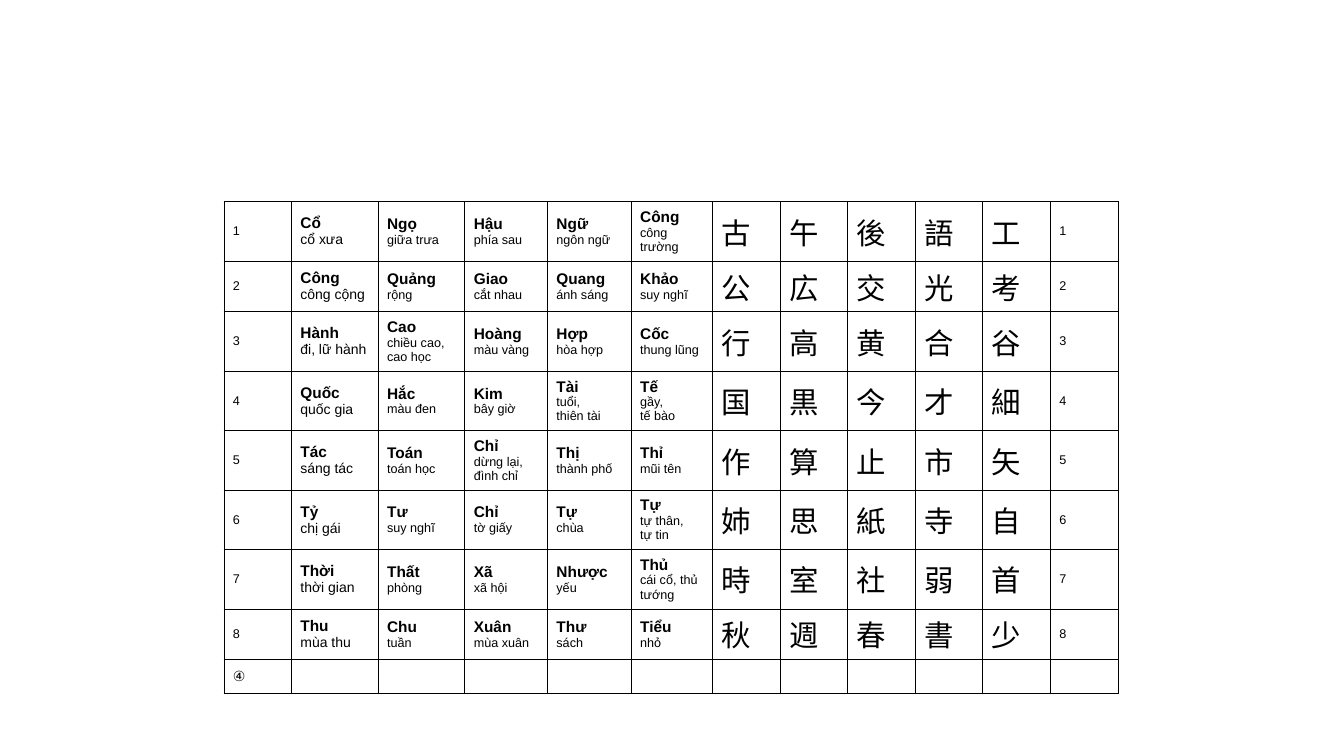
from dataclasses import dataclass

from lxml.etree import SubElement
from pptx import Presentation
from pptx.dml.color import RGBColor
from pptx.enum.text import MSO_ANCHOR
from pptx.oxml.ns import qn
from pptx.util import Inches, Pt


@dataclass(frozen=True)
class Theme:
    ink: str = "000000"
    rule: float = 0.5
    font: str = "Arial"
    glyph: str = "Roboto"
    head: int = 11
    first: int = 10
    small: int = 9
    kanji: int = 21


@dataclass(frozen=True)
class Lesson:
    """Five readings, each a name and its meaning split by '|', and their kanji."""
    words: tuple[str, ...]
    kanji: str
    height: float = 0.59


THEME = Theme()
LOW, LAST = 0.44, 0.34
WIDTHS = [0.67, 0.86, 0.86, 0.82, 0.83, 0.81] + [0.67] * 6
LESSONS = [
    Lesson(("Cổ|cổ xưa", "Ngọ|giữa trưa", "Hậu|phía sau",
            "Ngữ|ngôn ngữ", "Công|công\ntrường"), "古午後語工"),
    Lesson(("Công|công cộng", "Quảng|rộng", "Giao|cắt nhau",
            "Quang|ánh sáng", "Khảo|suy nghĩ"), "公広交光考", LOW),
    Lesson(("Hành|đi, lữ hành", "Cao|chiều cao,\ncao học", "Hoàng|màu vàng",
            "Hợp|hòa hợp", "Cốc|thung lũng"), "行高黄合谷"),
    Lesson(("Quốc|quốc gia", "Hắc|màu đen", "Kim|bây giờ",
            "Tài|tuổi,\nthiên tài", "Tế|gầy,\ntế bào"), "国黒今才細"),
    Lesson(("Tác|sáng tác", "Toán|toán học", "Chỉ|dừng lại,\nđình chỉ",
            "Thị|thành phố", "Thỉ|mũi tên"), "作算止市矢"),
    Lesson(("Tỷ|chị gái", "Tư|suy nghĩ", "Chỉ|tờ giấy",
            "Tự|chùa", "Tự|tự thân,\ntự tin"), "姉思紙寺自"),
    Lesson(("Thời|thời gian", "Thất|phòng", "Xã|xã hội",
            "Nhược|yếu", "Thủ|cái cổ, thủ\ntướng"), "時室社弱首"),
    Lesson(("Thu|mùa thu", "Chu|tuần", "Xuân|mùa xuân",
            "Thư|sách", "Tiểu|nhỏ"), "秋週春書少", LOW),
]


def frame(cell) -> None:
    """Set the margins, clear fill and thin border of a cell."""
    cell.margin_left = cell.margin_right = Inches(0.09)
    cell.margin_top = cell.margin_bottom = Inches(0.04)
    cell.vertical_anchor = MSO_ANCHOR.MIDDLE
    props = cell._tc.get_or_add_tcPr()
    for side in ("a:lnL", "a:lnR", "a:lnT", "a:lnB"):
        line = SubElement(props, qn(side), w=str(Pt(THEME.rule)))
        fill = SubElement(line, qn("a:solidFill"))
        SubElement(fill, qn("a:srgbClr"), val=THEME.ink)
    cell.fill.background()


def write(cell, text: str, size: int, font: str = THEME.font) -> None:
    para = cell.text_frame.paragraphs[0]
    para.text = text
    for run in para.runs:
        run.font.name = font
        run.font.size = Pt(size)
        run.font.color.rgb = RGBColor.from_string(THEME.ink)


def define(cell, word: str, size: int) -> None:
    """Write a bold reading above its meaning."""
    write(cell, word.replace("|", "\n"), size)
    para = cell.text_frame.paragraphs[0]
    head = para.runs[0].font
    head.bold = True
    head.size = Pt(THEME.head)
    for i, gap in enumerate(para._p.findall(qn("a:br"))):
        points = size if i else THEME.head
        SubElement(gap, qn("a:rPr"), sz=str(points * 100))


def shrink(cell) -> None:
    """Keep an empty cell from stretching its row."""
    para = cell.text_frame.paragraphs[0]._p
    SubElement(para, qn("a:endParaRPr"), sz=str(THEME.first * 100))


def main() -> None:
    deck = Presentation()
    deck.slide_width, deck.slide_height = Inches(13.33), Inches(7.5)
    slide = deck.slides.add_slide(deck.slide_layouts[6])
    heights = [lesson.height for lesson in LESSONS] + [LAST]
    table = slide.shapes.add_table(
        len(heights), len(WIDTHS), Inches(2.22), Inches(2),
        Inches(sum(WIDTHS)), Inches(sum(heights))).table
    table.first_row = table.horz_banding = False
    for col, width in zip(table.columns, WIDTHS):
        col.width = Inches(width)
    for row, height in zip(table.rows, heights):
        row.height = Inches(height)
    for cell in table.iter_cells():
        frame(cell)

    for r, lesson in enumerate(LESSONS):
        for c in (0, len(WIDTHS) - 1):
            write(table.cell(r, c), str(r + 1), THEME.small)
        for c, word in enumerate(lesson.words, 1):
            define(table.cell(r, c), word, THEME.first if c == 1 else THEME.small)
        for c, sign in enumerate(lesson.kanji, 1 + len(lesson.words)):
            write(table.cell(r, c), sign, THEME.kanji, THEME.glyph)

    end = len(LESSONS)
    write(table.cell(end, 0), "④", THEME.first, THEME.glyph)
    for c in range(1, len(WIDTHS)):
        shrink(table.cell(end, c))
    deck.save("out.pptx")


if __name__ == "__main__":
    main()
